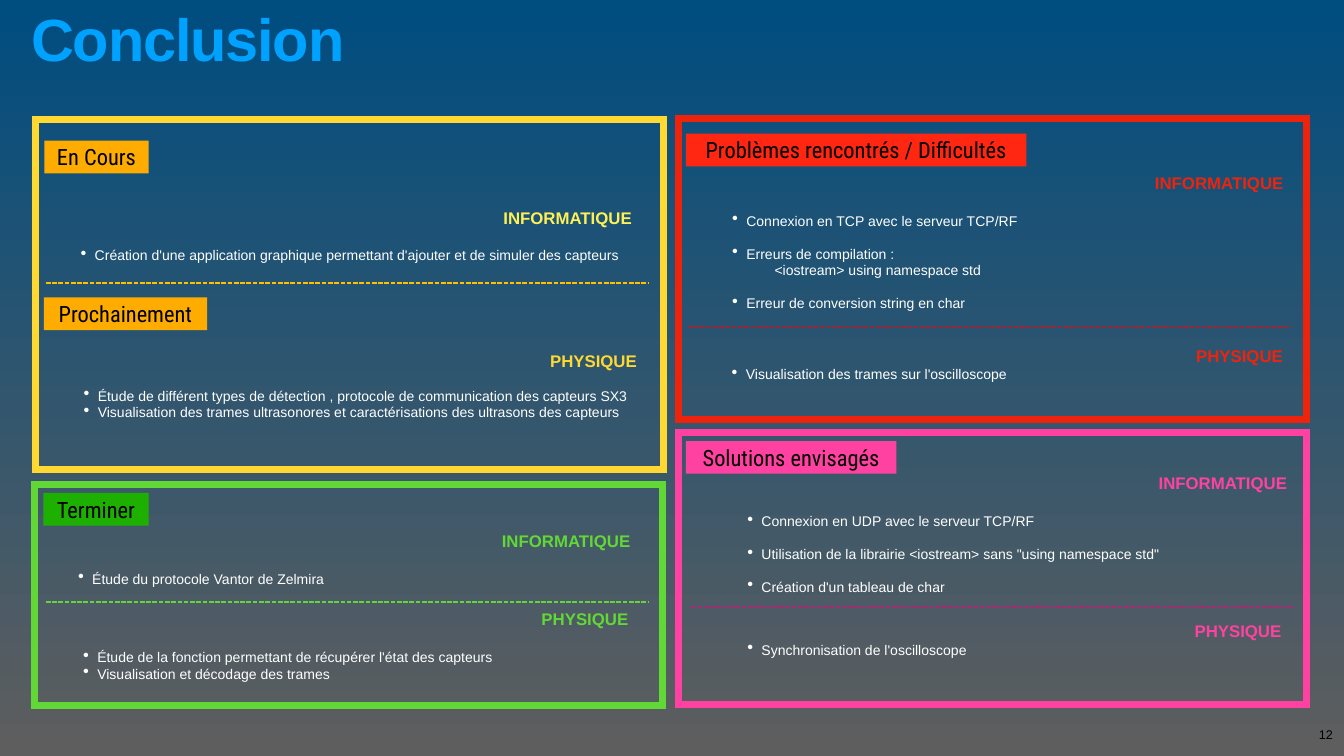
from dataclasses import dataclass

from lxml.etree import SubElement
from pptx import Presentation
from pptx.dml.color import RGBColor
from pptx.enum.dml import MSO_LINE
from pptx.enum.shapes import MSO_CONNECTOR, MSO_SHAPE
from pptx.enum.text import MSO_ANCHOR, PP_ALIGN
from pptx.oxml.ns import qn
from pptx.util import Pt

PX = 9144  # 100 px to the inch
INSET = 6
FONT, LABEL_FONT = "Arial", "Roboto Condensed"
GAP_S, GAP_L = 23, 27.6  # points: one empty line of 20 pt or 24 pt text
COLORS = {
    "bg_top": "004D80", "bg_bottom": "5E5E5E", "title": "00A2FF",
    "white": "FFFFFF", "black": "000000",
    "yellow": "FFD932", "pale_yellow": "FFF056", "amber": "FEAD00", "gold": "FFC000",
    "red": "EE230C", "label_red": "FF2712", "pure_red": "FF0000",
    "pink": "FF42A1", "deep_pink": "F10079",
    "green": "61D836", "label_green": "1EB001",
}


@dataclass(frozen=True)
class Box:
    x: int
    y: int
    w: int
    h: int


@dataclass(frozen=True)
class Panel:
    box: Box
    color: str


@dataclass(frozen=True)
class Label:
    box: Box
    text: str
    color: str


@dataclass(frozen=True)
class Item:
    text: str
    gap: float = 0
    bullet: bool = True


@dataclass(frozen=True)
class Section:
    box: Box
    heading: str
    color: str
    items: tuple[Item, ...]


@dataclass(frozen=True)
class Divider:
    x: int
    y: int
    color: str
    w: int = 1195


PANELS = (
    Panel(Box(71, 238, 1246, 694), "yellow"),
    Panel(Box(1346, 236, 1246, 597), "red"),
    Panel(Box(1346, 858, 1246, 540), "pink"),
    Panel(Box(68, 961, 1246, 438), "green"),
)
LABELS = (
    Label(Box(88, 279, 207, 65), "En Cours", "amber"),
    Label(Box(87, 590, 324, 65), "Prochainement", "amber"),
    Label(Box(86, 978, 209, 65), "Terminer", "label_green"),
    Label(Box(1361, 265, 676, 65), "Problèmes rencontrés / Difficultés", "label_red"),
    Label(Box(1361, 875, 418, 65), "Solutions envisagés", "pink"),
)
SECTIONS = (
    Section(Box(88, 405, 1181, 124), "INFORMATIQUE ", "pale_yellow", (
        Item("Création d'une application graphique permettant d'ajouter "
             "et de simuler des capteurs", GAP_L),)),
    Section(Box(94, 690, 1185, 151), "PHYSIQUE ", "yellow", (
        Item("Étude de différent types de détection , protocole de "
             "communication des capteurs SX3", GAP_S),
        Item("Visualisation des trames ultrasonores et caractérisations "
             "des ultrasons des capteurs"))),
    Section(Box(83, 1047, 1183, 124), "INFORMATIQUE ", "green", (
        Item("Étude du protocole Vantor de Zelmira", GAP_L),)),
    Section(Box(93, 1202, 1169, 158), "PHYSIQUE ", "green", (
        Item("Étude de la fonction permettant de récupérer l'état des capteurs", GAP_L),
        Item("Visualisation et décodage des trames"))),
    Section(Box(1381, 335, 1181, 291), "INFORMATIQUE ", "red", (
        Item("Connexion en TCP avec le serveur TCP/RF", GAP_L),
        Item("Erreurs de compilation :", GAP_S),
        Item("<iostream> using namespace std", bullet=False),
        Item("Erreur de conversion string en char", GAP_S))),
    Section(Box(1380, 680, 1181, 84), "PHYSIQUE ", "red", (
        Item("Visualisation des trames sur l'oscilloscope"),)),
    Section(Box(1411, 930, 1149, 260), "INFORMATIQUE", "pink", (
        Item("Connexion en UDP avec le serveur TCP/RF", GAP_L),
        Item('Utilisation de la librairie <iostream> sans "using namespace std"', GAP_S),
        Item("Création d'un tableau de char", GAP_S))),
    Section(Box(1411, 1227, 1147, 84), "PHYSIQUE ", "pink", (
        Item("Synchronisation de l'oscilloscope"),)),
)
DIVIDERS = (
    Divider(1365, 648, "pure_red"),
    Divider(1372, 1203, "deep_pink"),
    Divider(91, 562, "gold"),
    Divider(91, 1195, "green"),
)


def rgb(name: str) -> RGBColor:
    return RGBColor.from_string(COLORS[name])


def emu(box: Box) -> tuple[int, ...]:
    return tuple(v * PX for v in (box.x, box.y, box.w, box.h))


def setup_frame(tf, anchor, wrap: bool = True) -> None:
    tf.word_wrap = wrap
    tf.vertical_anchor = anchor
    tf.margin_left = tf.margin_right = tf.margin_top = tf.margin_bottom = INSET * PX


def add_text_frame(s, box: Box, anchor=MSO_ANCHOR.MIDDLE, wrap: bool = True):
    tf = s.shapes.add_textbox(*emu(box)).text_frame
    setup_frame(tf, anchor, wrap)
    return tf


def add_run(p, text: str, size: int, color: str, bold: bool = False, font: str = FONT):
    r = p.add_run()
    r.text = text
    r.font.name, r.font.size, r.font.bold = font, Pt(size), bold
    r.font.color.rgb = rgb(color)
    return r


def indent(p, left: int, first: int, bullet: bool) -> None:
    """Set the left margin and first-line indent, with a bullet if wanted."""
    pPr = p._p.get_or_add_pPr()
    pPr.set("marL", str(left * PX))
    pPr.set("indent", str(first * PX))
    if bullet:
        SubElement(pPr, qn("a:buSzPct"), val="123000")
        SubElement(pPr, qn("a:buChar"), char="•")


def add_rect(s, box: Box):
    sp = s.shapes.add_shape(MSO_SHAPE.RECTANGLE, *emu(box))
    sp.shadow.inherit = False
    return sp


def draw_panel(s, panel: Panel) -> None:
    sp = add_rect(s, panel.box)
    sp.fill.background()
    sp.line.color.rgb = rgb(panel.color)
    sp.line.width = Pt(10)
    SubElement(sp.line._get_or_add_ln(), qn("a:miter"), lim="400000")


def draw_label(s, label: Label) -> None:
    sp = add_rect(s, label.box)
    sp.fill.solid()
    sp.fill.fore_color.rgb = rgb(label.color)
    sp.line.fill.background()
    setup_frame(sp.text_frame, MSO_ANCHOR.MIDDLE)
    p = sp.text_frame.paragraphs[0]
    p.alignment = PP_ALIGN.CENTER
    add_run(p, label.text, 32, "black", font=LABEL_FONT)


def draw_section(s, section: Section) -> None:
    tf = add_text_frame(s, section.box)
    p = tf.paragraphs[0]
    p.alignment = PP_ALIGN.RIGHT
    add_run(p, section.heading, 24, section.color, bold=True)
    for item in section.items:
        p = tf.add_paragraph()
        p.space_before = Pt(item.gap)
        indent(p, *((94, -28) if item.bullet else (0, 150)), item.bullet)
        add_run(p, item.text, 20, "white")


def draw_divider(s, d: Divider) -> None:
    line = s.shapes.add_connector(
        MSO_CONNECTOR.STRAIGHT, d.x * PX, d.y * PX, (d.x + d.w) * PX, d.y * PX)
    line.line.color.rgb = rgb(d.color)
    line.line.width = Pt(2.25)
    line.line.dash_style = MSO_LINE.SQUARE_DOT
    SubElement(line._element.spPr, qn("a:effectLst"))


def main() -> None:
    prs = Presentation()
    prs.slide_width, prs.slide_height = 2667 * PX, 1500 * PX
    s = prs.slides.add_slide(prs.slide_layouts[6])
    fill = s.background.fill
    fill.gradient()
    fill.gradient_angle = 270
    for stop, name in zip(fill.gradient_stops, ("bg_top", "bg_bottom")):
        stop.color.rgb = rgb(name)

    p = add_text_frame(s, Box(56, 26, 1146, 157), MSO_ANCHOR.TOP).paragraphs[0]
    p.line_spacing = 0.8
    r = add_run(p, "Conclusion", 85, "title", bold=True)
    r.font._element.set("spc", "-170")

    for draw, parts in ((draw_panel, PANELS), (draw_label, LABELS),
                        (draw_section, SECTIONS), (draw_divider, DIVIDERS)):
        for part in parts:
            draw(s, part)

    p = add_text_frame(s, Box(2611, 1437, 40, 41), MSO_ANCHOR.BOTTOM, False).paragraphs[0]
    p.alignment = PP_ALIGN.CENTER
    add_run(p, "12", 18, "black")
    prs.save("out.pptx")


if __name__ == "__main__":
    main()
